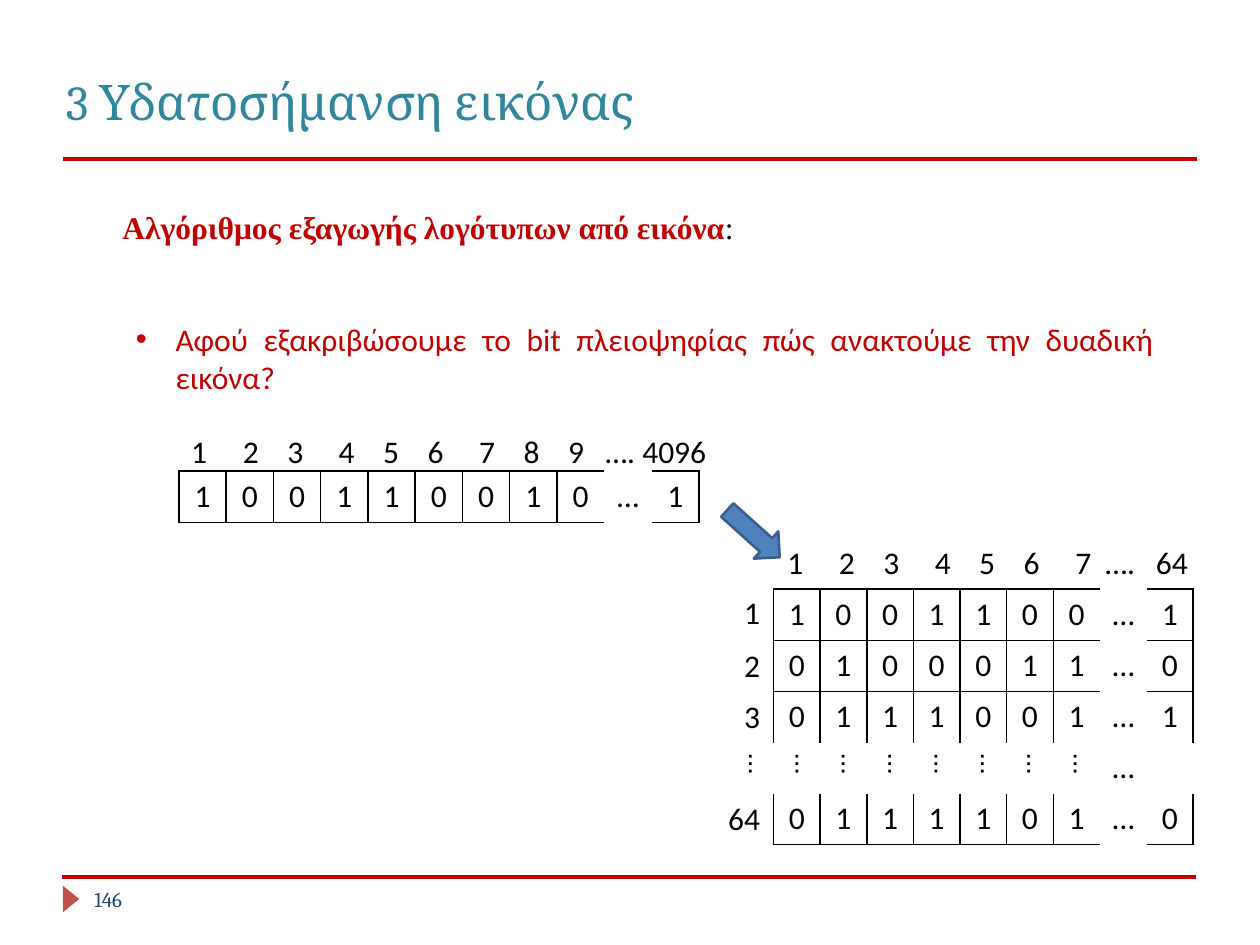
from dataclasses import dataclass

from lxml.etree import SubElement
from pptx import Presentation
from pptx.dml.color import RGBColor
from pptx.enum.shapes import MSO_CONNECTOR as Connector, MSO_SHAPE as Preset
from pptx.enum.text import MSO_ANCHOR as Anchor, PP_ALIGN as Align
from pptx.oxml.ns import qn
from pptx.util import Pt


@dataclass(frozen=True)
class Theme:
    red: str = "C00000"
    teal: str = "31859C"
    navy: str = "1F497D"
    brick: str = "C0504D"
    blue: str = "4F81BD"
    blue_edge: str = "3A5F8C"
    ink: str = "000000"
    soft_ink: str = "0D0D0D"
    title_size: float = 28
    body_size: float = 18
    number_size: float = 12
    rule: float = 2.25
    border: float = 1
    heading_font: str = "Cambria"
    body_font: str = "Calibri"
    serif_font: str = "Times New Roman"
    dots_font: str = "Cabin"


@dataclass(frozen=True)
class Box:
    left: float
    top: float
    width: float
    height: float

    def points(self) -> tuple:
        return tuple(Pt(v) for v in (self.left, self.top, self.width, self.height))


@dataclass(frozen=True)
class BitGrid:
    box: Box
    rows: tuple  # one word per row, one sign per column, "_" is empty
    dots_row: int = -1  # row left open between the borders


@dataclass(frozen=True)
class Header:
    box: Box
    labels: tuple
    stops: tuple  # distance of each later label from the first


THEME = Theme()
DOTS = "…"
STOPS = (29.5, 54.9, 84.3, 109.7, 135.1, 164.6)

BIT_ROW = BitGrid(Box(102.2, 269, 297.2, 29.5), ("100110010…1",))
BIT_SQUARE = BitGrid(
    Box(442, 336.7, 240, 146),
    ("1001100…1", "0100011…0", "0111001…1", "_______…_", "0111101…0"),
    dots_row=3,
)
HEADERS = (
    Header(Box(102.2, 243.4, 380, 28.8), tuple("123456789") + ("….", "4096"),
           STOPS + (190, 215.4, 236.7, 257.8)),
    Header(Box(442.8, 306.7, 277, 28.8), tuple("1234567") + ("….", "64"),
           STOPS + (181.8, 210.6)),
)
ROW_LABELS = (("1", 335.5), ("2", 365.8), ("3", 394.6), ("64", 452.9))


def rgb(color: str) -> RGBColor:
    return RGBColor.from_string(color)


def style_run(font, size: float, face: str, color: str, bold: bool = False) -> None:
    font.size, font.name, font.bold = Pt(size), face, bold
    font.color.rgb = rgb(color)


def fill_paragraph(paragraph, text: str, *, size=THEME.body_size, face=THEME.body_font,
                   color=THEME.ink, bold=False, align=Align.LEFT, margin=0, indent=0,
                   after=0, bullet="", stops=()):
    paragraph.alignment = align
    paragraph.space_after = Pt(after)
    properties = paragraph._p.get_or_add_pPr()
    if margin:  # an explicit zero indent would cancel the tab stops
        properties.set("marL", str(Pt(margin)))
        properties.set("indent", str(Pt(indent)))
    if bullet:
        SubElement(properties, qn("a:buFont"), typeface="Arial")
        SubElement(properties, qn("a:buChar"), char=bullet)
    if stops:
        tabs = SubElement(properties, qn("a:tabLst"))
        for stop in stops:
            SubElement(tabs, qn("a:tab"), pos=str(Pt(stop)), algn="l")
    run = paragraph.add_run()
    run.text = text
    style_run(run.font, size, face, color, bold)
    return paragraph


def add_text(slide, box: Box, text: str, *, anchor=Anchor.TOP, rotation=0, **style):
    label = slide.shapes.add_textbox(*box.points())
    label.rotation = rotation
    label.text_frame.word_wrap = True
    label.text_frame.vertical_anchor = anchor
    return fill_paragraph(label.text_frame.paragraphs[0], text, **style)


def add_rule(slide, left: float, y: float) -> None:
    rule = slide.shapes.add_connector(
        Connector.STRAIGHT, Pt(left), Pt(y), Pt(left + 648), Pt(y))
    rule.line.color.rgb = rgb(THEME.red)
    rule.line.width = Pt(THEME.rule)
    SubElement(rule._element.spPr, qn("a:effectLst"))


def add_preset(slide, preset, box: Box, rotation: float, fill: str, edge: str = "") -> None:
    shape = slide.shapes.add_shape(preset, *box.points())
    shape.rotation = rotation
    shape.shadow.inherit = False
    shape.fill.solid()
    shape.fill.fore_color.rgb = rgb(fill)
    if edge:
        shape.line.color.rgb = rgb(edge)
        shape.line.width = Pt(1.5)
    else:
        shape.line.fill.background()


def set_border(cell, side: str, visible: bool) -> None:
    line = SubElement(cell._tc.get_or_add_tcPr(), qn(f"a:ln{side}"), w=str(Pt(THEME.border)))
    if visible:
        SubElement(SubElement(line, qn("a:solidFill")), qn("a:srgbClr"), val=THEME.ink)
    else:
        SubElement(line, qn("a:noFill"))


def add_bit_grid(slide, grid: BitGrid) -> None:
    row_count, column_count = len(grid.rows), len(grid.rows[0])
    table = slide.shapes.add_table(row_count, column_count, *grid.box.points()).table
    table.first_row = table.horz_banding = False
    for column in table.columns:
        column.width = Pt(grid.box.width / column_count)
    for row in table.rows:
        row.height = Pt(grid.box.height / row_count)
    dots_column = grid.rows[0].index(DOTS)

    def is_open(row: int, column: int) -> bool:
        return row == grid.dots_row >= 0 or column == dots_column

    for r, bits in enumerate(grid.rows):
        for c, bit in enumerate(bits):
            cell = table.cell(r, c)
            if bit != "_":
                fill_paragraph(cell.text_frame.paragraphs[0], bit, align=Align.CENTER)
            # A border shows only where neither neighbour is open
            for side, dr, dc in (("L", 0, -1), ("R", 0, 1), ("T", -1, 0), ("B", 1, 0)):
                set_border(cell, side, not (is_open(r, c) or is_open(r + dr, c + dc)))
            cell.fill.background()


def main() -> None:
    deck = Presentation()
    deck.slide_width, deck.slide_height = Pt(720), Pt(540)
    slide = deck.slides.add_slide(deck.slide_layouts[6])

    # Title, rules and page number
    add_preset(slide, Preset.ISOSCELES_TRIANGLE, Box(33.1, 509, 15.1, 9.4), 90, THEME.brick)
    add_text(slide, Box(23.8, 14.7, 591, 63.4), "3 Υδατοσήμανση εικόνας",
             anchor=Anchor.BOTTOM, size=THEME.title_size, face=THEME.heading_font,
             color=THEME.teal, margin=46.8, indent=-40.1)
    add_rule(slide, 36, 90.7)
    add_rule(slide, 35.3, 501.1)
    add_text(slide, Box(46.8, 503.3, 110.9, 19.4), "146", size=THEME.number_size,
             face=THEME.heading_font, color=THEME.navy)

    # Heading and question
    heading = add_text(slide, Box(62.9, 115.2, 637.2, 28.8),
                       "Αλγόριθμος εξαγωγής λογότυπων από εικόνα",
                       face=THEME.serif_font, color=THEME.red, bold=True, align=Align.JUSTIFY)
    colon = heading.add_run()
    colon.text = ":"
    style_run(colon.font, THEME.body_size, THEME.serif_font, THEME.soft_ink)
    add_text(slide, Box(70.6, 179.3, 595.7, 100.8),
             "Αφού εξακριβώσουμε το bit πλειοψηφίας πώς ανακτούμε την δυαδική εικόνα?",
             color=THEME.red, align=Align.JUSTIFY, margin=22.6, indent=-22.6, after=3,
             bullet="•")

    # Bit row turned into the binary square
    add_bit_grid(slide, BIT_ROW)
    add_preset(slide, Preset.RIGHT_ARROW, Box(410.4, 294.5, 40.3, 20.9), 42,
               THEME.blue, THEME.blue_edge)
    add_bit_grid(slide, BIT_SQUARE)
    for header in HEADERS:
        add_text(slide, header.box, "\t".join(header.labels), stops=header.stops)

    # Row numbers and vertical dots
    for number, top in ROW_LABELS:
        width = 14.7 + 9.2 * len(number)
        add_text(slide, Box(441.4 - width, top, width, 28.8), number, align=Align.RIGHT)
    for column in range(8):
        add_text(slide, Box(419 + 26.5 * column, 425.2, 32.4, 28.8), DOTS,
                 rotation=90, face=THEME.dots_font)

    deck.save("out.pptx")


if __name__ == "__main__":
    main()
